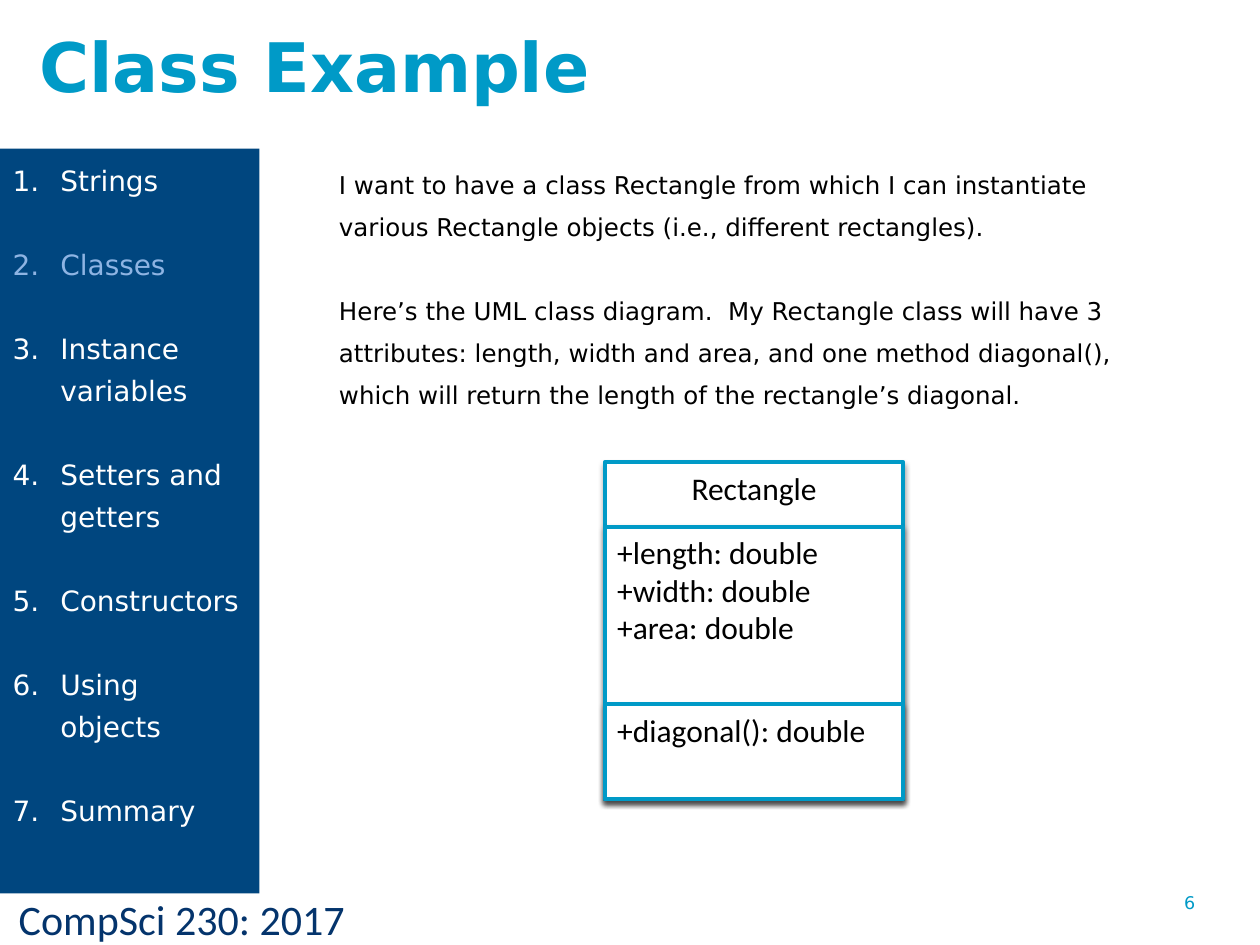
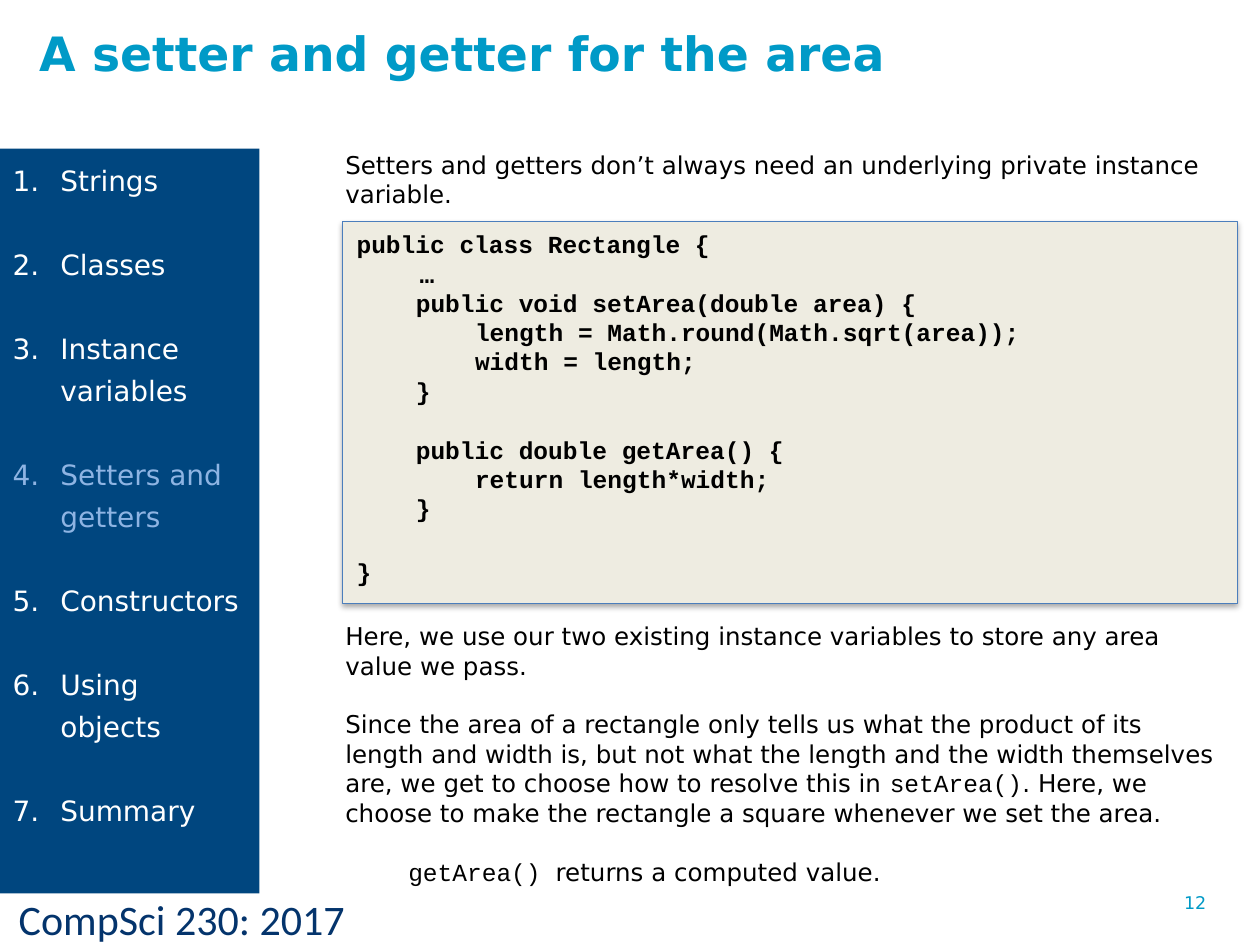
from dataclasses import dataclass, replace
from typing import NamedTuple

from lxml.etree import SubElement
from pptx import Presentation
from pptx.dml.color import RGBColor as Rgb
from pptx.enum.shapes import MSO_SHAPE as Form
from pptx.enum.text import MSO_ANCHOR as Anchor, MSO_AUTO_SIZE as Fit, PP_ALIGN as Align
from pptx.oxml.ns import qn
from pptx.shapes.autoshape import Shape
from pptx.slide import Slide
from pptx.text.text import TextFrame
from pptx.util import Pt

SCALE = 9144


def px(size: int) -> int:
    return size * SCALE


class Box(NamedTuple):
    left: int
    top: int
    width: int
    height: int


@dataclass(frozen=True)
class Look:
    font: str
    size: float
    color: str
    bold: bool = False
    lead: float | None = None


@dataclass(frozen=True)
class Line:
    text: str
    left: int = 0
    after: float = 0
    color: str | None = None


@dataclass(frozen=True)
class Theme:
    sans: str = "DejaVu Sans"
    mono: str = "Courier New"
    plain: str = "Calibri"
    cyan: str = "009AC7"
    navy: str = "00467F"
    ink: str = "04346C"
    pale: str = "8EB4E3"
    sand: str = "EEECE1"
    edge: str = "4B7EBC"
    white: str = "FFFFFF"
    black: str = "000000"
    wide: float = 24
    tight: float = 16.8


T = Theme()
TITLE = Look(T.sans, 39, T.cyan, True)
SMALL = replace(TITLE, size=27)
BODY = Look(T.sans, 14, T.black, lead=T.wide)
DENSE = replace(BODY, lead=T.tight)
CODE = Look(T.mono, 14, T.black, True, T.tight)
MENU = Look(T.sans, 16, T.white, lead=T.wide)
UML = Look(T.plain, 18, T.black)
FOOT = Look(T.plain, 24, T.ink)
PAGE = Look(T.sans, 10, T.cyan)

HEAD = Box(21, 14, 713, 78)
SIDE = Box(0, 118, 206, 591)
MARK = Box(5, 704, 405, 50)
NUMBER = Box(930, 703, 70, 52)
HANG = 38
STEP = 47
TOPICS = ("Strings", "Classes", "Instance variables", "Setters and getters",
          "Constructors", "Using objects", "Summary")


def place(shape: Shape, box: Box) -> None:
    shape.left, shape.top, shape.width, shape.height = map(px, box)


def paint(shape: Shape, color: str) -> None:
    shape.fill.solid()
    shape.fill.fore_color.rgb = Rgb.from_string(color)


def write(frame: TextFrame, lines: list[Line], look: Look,
          align: Align = Align.LEFT, listed: bool = False) -> None:
    frame.text = "\n".join(line.text.replace("`", "") for line in lines)
    frame.word_wrap = True
    frame.auto_size = Fit.NONE
    frame.vertical_anchor = Anchor.TOP
    for para, line in zip(frame.paragraphs, lines):
        para.alignment = align
        para.space_before = Pt(0)
        para.space_after = Pt(line.after)
        if look.lead:
            para.line_spacing = Pt(look.lead)
        props = para._p.get_or_add_pPr()
        props.set("marL", str(px(line.left)))
        props.set("indent", str(px(-HANG if listed else 0)))
        if listed:
            SubElement(props, qn("a:buAutoNum"), type="arabicPeriod")
        else:
            SubElement(props, qn("a:buNone"))
        parts = line.text.split("`")
        para.runs[0].text = parts[0]
        for part in parts[1:]:
            para.add_run().text = part
        for spot, run in enumerate(para.runs):
            font = run.font
            font.name = T.mono if spot % 2 else look.font
            font.size = Pt(look.size)
            font.bold = look.bold
            font.color.rgb = Rgb.from_string(line.color or look.color)


def label(slide: Slide, box: Box, text: str, look: Look) -> None:
    frame = slide.shapes.add_textbox(*map(px, box)).text_frame
    frame.margin_bottom = 0
    write(frame, [Line(text)], look)


def dress(shape: Shape, fill: str, edge: str, weight: float) -> None:
    paint(shape, fill)
    shape.line.color.rgb = Rgb.from_string(edge)
    shape.line.width = Pt(weight)
    shape.shadow.inherit = False
    glow = SubElement(shape._element.spPr.find(qn("a:effectLst")), qn("a:outerShdw"),
                      blurRad=str(Pt(3.1)), dist=str(Pt(1.8)), dir="5400000", rotWithShape="0")
    tint = SubElement(glow, qn("a:srgbClr"), val=T.black)
    SubElement(tint, qn("a:alpha"), val="35000")


def start(deck: Presentation, kind: int, title: str, look: Look, page: int,
          topic: str) -> Slide:
    slide = deck.slides.add_slide(deck.slide_layouts[kind])
    place(slide.shapes.title, HEAD)
    write(slide.shapes.title.text_frame, [Line(title)], look)
    menu = slide.placeholders[1]
    place(menu, SIDE)
    paint(menu, T.navy)
    items = [Line(name, HANG, T.wide, T.pale if name == topic else None) for name in TOPICS]
    write(menu.text_frame, items, MENU, listed=True)
    label(slide, MARK, "CompSci 230: 2017", FOOT)
    label(slide, NUMBER, str(page), PAGE)
    return slide


def body(slide: Slide, slot: int, box: Box, lines: list[Line], look: Look) -> Shape:
    shape = slide.placeholders[slot]
    place(shape, box)
    write(shape.text_frame, lines, look)
    return shape


def diagram(deck: Presentation) -> None:
    slide = start(deck, 3, "Class Example", TITLE, 6, "Classes")
    body(slide, 2, Box(259, 120, 690, 240), [
        Line("I want to have a class Rectangle from which I can instantiate various "
             "Rectangle objects (i.e., different rectangles).", after=T.wide),
        Line("Here’s the UML class diagram.  My Rectangle class will have 3 attributes: "
             "length, width and area, and one method diagonal(), which will return the "
             "length of the rectangle’s diagonal."),
    ], BODY)
    base = 634
    parts = (
        (367, Align.CENTER, ("Rectangle",)),
        (418, Align.LEFT, ("+length: double", "+width: double", "+area: double")),
        (559, Align.LEFT, ("+diagonal(): double",)),
    )
    for top, align, names in parts:
        box = Box(480, top, 237, base - top)
        cell = slide.shapes.add_shape(Form.RECTANGLE, *map(px, box))
        dress(cell, T.white, T.cyan, 2.25)
        write(cell.text_frame, [Line(name) for name in names], UML, align)


def access(deck: Presentation) -> None:
    slide = start(deck, 4, "A setter and getter for the area", SMALL, 12,
                  "Setters and getters")
    body(slide, 2, Box(264, 114, 710, 62), [
        Line("Setters and getters don’t always need an underlying private instance variable."),
    ], DENSE)
    body(slide, 3, Box(264, 488, 710, 223), [
        Line("Here, we use our two existing instance variables to store any area value we pass.",
             after=T.tight),
        Line("Since the area of a rectangle only tells us what the product of its length and "
             "width is, but not what the length and the width themselves are, we get to choose "
             "how to resolve this in `setArea()`. Here, we choose to make the rectangle a "
             "square whenever we set the area.", after=T.tight),
        Line("`getArea() `returns a computed value.", 50),
    ], DENSE)
    code = body(slide, 4, Box(272, 176, 710, 303), [
        Line("public class Rectangle {"),
        Line("…", 50),
        Line("public void setArea(double area) {", STEP),
        Line("length = Math.round(Math.sqrt(area));", 2 * STEP),
        Line("width = length;", 2 * STEP),
        Line("}", STEP, T.tight),
        Line("public double getArea() {", STEP),
        Line("return length*width;", 2 * STEP),
        Line("}", STEP, 20),
        Line("}"),
    ], replace(CODE, lead=16.75))
    code.text_frame.margin_left = px(11)
    code.text_frame.margin_top = px(6)
    dress(code, T.sand, T.edge, 0.75)


def main() -> None:
    deck = Presentation()
    deck.slide_width, deck.slide_height = px(1000), px(750)
    diagram(deck)
    access(deck)
    deck.save("out.pptx")


if __name__ == "__main__":
    main()
